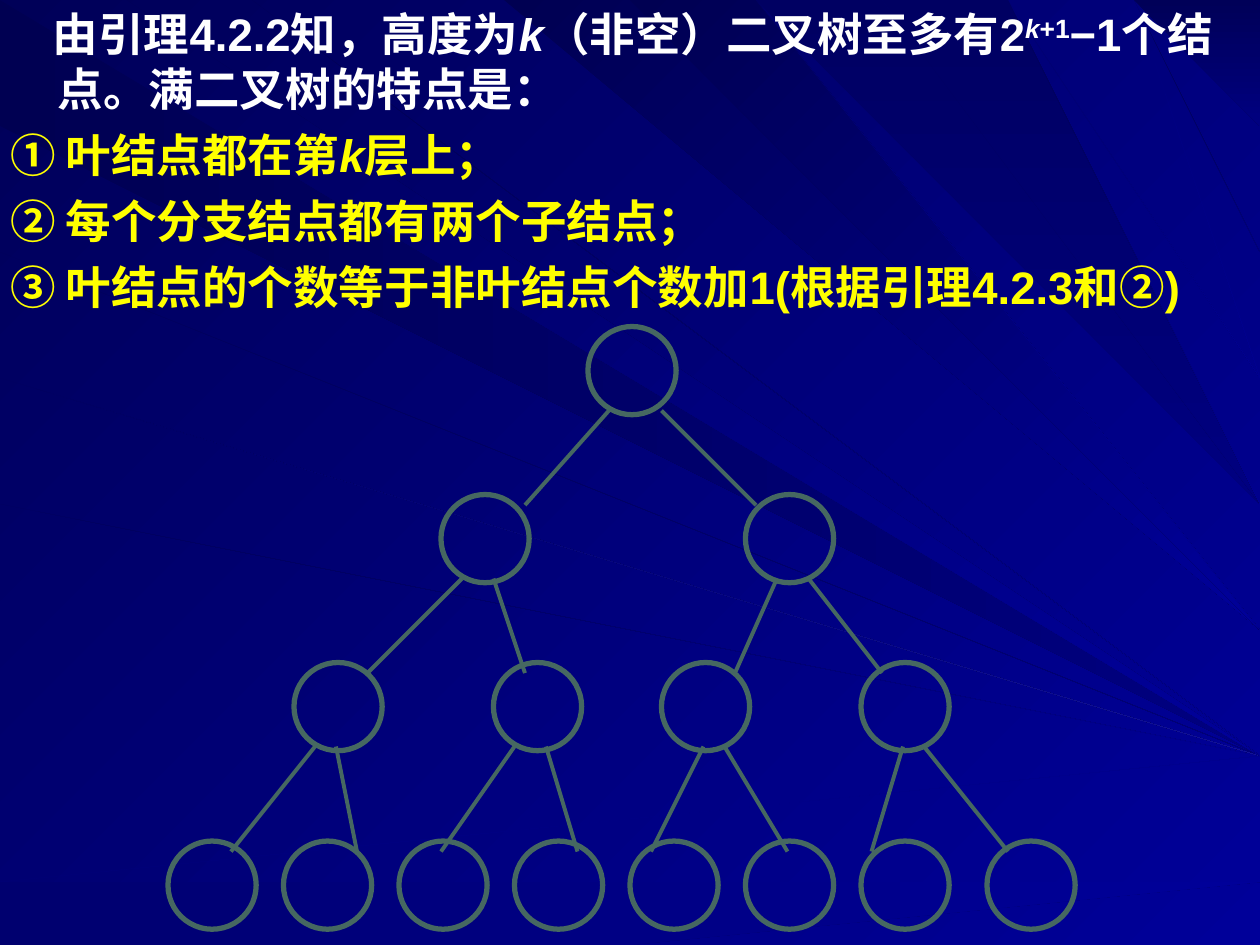
import pptx
import pptx.dml.color
import pptx.enum.shapes
import pptx.enum.text
import pptx.oxml.ns
import pptx.util
from lxml import etree

RGBColor = pptx.dml.color.RGBColor
WHITE = RGBColor.from_string("FFFFFF")
YELLOW = RGBColor.from_string("FFFF00")
MOSS = RGBColor.from_string("466861")
MIDNIGHT = RGBColor.from_string("000052")
DUSK = RGBColor.from_string("000058")
DEEP = RGBColor.from_string("000062")
DIM = RGBColor.from_string("00006F")
NAVY = RGBColor.from_string("000080")
ROYAL = RGBColor.from_string("000099")
GLOW = RGBColor.from_string("1717A2")

# Light beams narrow to a tip on the right edge. Each has its two ends on the
# left or top edge and the height of its tip, in tenths of the slide's width,
# then its first and last colour and the angle of the blend.
LEFT_BEAMS = [
    (0.02, 0.93, 5.7, MIDNIGHT, NAVY, 0),
    (5.96, 6.23, 6.32, DEEP, ROYAL, 0),
    (6.65, 7.04, 6.47, NAVY, ROYAL, 0),
    (7.35, 7.5, 6.62, DIM, ROYAL, 0),
    (2.58, 2.7, 5.89, MIDNIGHT, ROYAL, 45),
    (1.59, 2.28, 5.85, DUSK, NAVY, 0),
    (2.78, 3.42, 6, DEEP, ROYAL, 45),
    (3.74, 4.37, 6.06, DUSK, ROYAL, 45),
    (5.52, 5.6, 6.22, NAVY, ROYAL, 0),
    (2.83, 3.47, 6.04, DIM, GLOW, 0),
]
TOP_BEAMS = [
    (0.26, 1.01, 5.63, DUSK, ROYAL, 45),
    (2.25, 2.47, 5.5, MIDNIGHT, ROYAL, 45),
    (3.98, 4.16, 5.18, DIM, ROYAL, 45),
    (4.26, 4.92, 4.93, MIDNIGHT, ROYAL, 45),
    (5.4, 5.52, 4.63, MIDNIGHT, ROYAL, 45),
    (5.77, 5.88, 4.54, NAVY, ROYAL, 45),
    (6.06, 6.61, 4.46, DEEP, NAVY, 90),
    (6.86, 7.7, 4.1, DEEP, NAVY, 90),
    (7.85, 7.92, 3.57, DUSK, ROYAL, 45),
    (8.15, 8.24, 3.36, DIM, ROYAL, 45),
    (8.65, 8.72, 2.53, NAVY, ROYAL, 45),
    (8.87, 9.3, 2.1, DUSK, NAVY, 90),
    (9.39, 9.64, 1.4, DUSK, NAVY, 90),
]

# Tree levels: grid row and the columns of its nodes
LEVELS = {
    31: [56],
    47: [42, 71],
    63: [28, 47, 63, 82],
    80: [*range(16, 83, 11), 94],
}
# Branches below each level but the last: start and end column
BRANCHES = [
    [(58, 50), (63, 72)],
    [(44, 35), (47, 50), (74, 70), (77, 84)],
    [(30, 22), (32, 34), (49, 42), (52, 55), (67, 62), (69, 75), (86, 83), (88, 96)],
]

# Paragraphs: colour and spans with their style
PLAIN, ITALIC, RAISED, RAISED_ITALIC = "", "i", "r", "ir"
STATEMENTS = [
    (WHITE, [("由引理4.2.2知，高度为", PLAIN), ("k", ITALIC), ("（非空）二叉树至多有2", PLAIN),
             ("k", RAISED_ITALIC), ("+1", RAISED), ("−1个结点。满二叉树的特点是：", PLAIN)]),
    (YELLOW, [("① 叶结点都在第", PLAIN), ("k", ITALIC), ("层上；", PLAIN)]),
    (YELLOW, [("② 每个分支结点都有两个子结点；", PLAIN)]),
    (YELLOW, [("③ 叶结点的个数等于非叶结点个数加1(根据引理4.2.3和②)", PLAIN)]),
]


def set_all(target, values):
    for name, value in values.items():
        setattr(target, name, value)


class TreeSlide:
    """Style and drawing methods on a grid of 120 columns by 90 rows."""
    FONT = {"name": "Arial", "size": pptx.util.Pt(26), "bold": True}
    NODE_SIZE = 8.4
    TOP_SHIFT = 0.1

    def __init__(self, deck):
        self.deck = deck
        self.cell = deck.slide_width / 120
        self.page = deck.slides.add_slide(deck.slide_layouts[1])
        title = self.page.shapes.title
        title.element.getparent().remove(title.element)
        self.blend(self.page.background.fill, DUSK, ROYAL, 45)

    def group(self):
        self.shapes = self.page.shapes.add_group_shape().shapes

    def place(self, column, row):
        return round(column * self.cell), round((row + self.TOP_SHIFT) * self.cell)

    def blend(self, fill, start, end, angle):
        fill.gradient()
        fill.gradient_angle = (360 - angle) % 360
        for stop, colour in zip(fill.gradient_stops, (start, end)):
            stop.color.rgb = colour

    def beam(self, first, second, tip, colours):
        builder = self.shapes.build_freeform(*first, scale=self.deck.slide_width / 10)
        builder.add_line_segments([second, (10, tip)], close=True)
        shape = builder.convert_to_shape()
        shape.shadow.inherit = False
        shape.line.fill.background()
        self.blend(shape.fill, *colours)

    def stroke(self, shape, width):
        shape.line.color.rgb = MOSS
        shape.line.width = pptx.util.Pt(width)

    def node(self, column, row):
        size = round(self.NODE_SIZE * self.cell)
        kind = pptx.enum.shapes.MSO_SHAPE.FLOWCHART_CONNECTOR
        shape = self.shapes.add_shape(kind, *self.place(column, row), size, size)
        shape.shadow.inherit = False
        shape.fill.background()
        self.stroke(shape, 3)

    def branch(self, start, end):
        line = self.shapes.add_connector(
            pptx.enum.shapes.MSO_CONNECTOR.STRAIGHT, *self.place(*start), *self.place(*end))
        self.stroke(line, 2.25)
        etree.SubElement(line.element.spPr, pptx.oxml.ns.qn("a:effectLst"))

    def body(self, statements):
        box = self.page.placeholders[1]
        self.page.shapes.element.append(box.element)  # above the beams
        set_all(box, {"left": 0, "top": 0, "width": self.deck.slide_width,
                      "height": self.deck.slide_height})
        inset = pptx.util.Inches(0.08)
        set_all(box.text_frame, {
            "word_wrap": True, "auto_size": pptx.enum.text.MSO_AUTO_SIZE.NONE,
            "vertical_anchor": pptx.enum.text.MSO_ANCHOR.TOP,
            "margin_left": inset, "margin_right": inset, "margin_top": pptx.util.Inches(0.05)})
        for index, (colour, spans) in enumerate(statements):
            para = box.text_frame.paragraphs[0] if index == 0 else box.text_frame.add_paragraph()
            layout = para._p.get_or_add_pPr()
            layout.set("marL", str(pptx.util.Inches(0.38)))
            layout.set("indent", str(pptx.util.Inches(-0.38 if index else -0.04)))
            etree.SubElement(layout, pptx.oxml.ns.qn("a:buNone"))
            para.space_before = pptx.util.Pt(6.5 if index else 0)
            for text, style in spans:
                span = para.add_run()
                span.text = text
                set_all(span.font, {**self.FONT, "italic": "i" in style})
                span.font.color.rgb = colour
                if "r" in style:
                    span._r.get_or_add_rPr().set("baseline", "30000")


def main():
    deck = pptx.Presentation()
    set_all(deck, {"slide_width": pptx.util.Inches(10), "slide_height": pptx.util.Inches(7.5)})
    slide = TreeSlide(deck)

    # Backdrop
    slide.group()
    for upper, lower, tip, *colours in LEFT_BEAMS:
        slide.beam((0, upper), (0, lower), tip, colours)
    for left, right, tip, *colours in TOP_BEAMS:
        slide.beam((left, 0), (right, 0), tip, colours)

    # Statements
    slide.body(STATEMENTS)

    # Full binary tree
    slide.group()
    for row, columns in LEVELS.items():
        for column in columns:
            slide.node(column, row)
    rows = list(LEVELS)
    for row, next_row, branches in zip(rows, rows[1:], BRANCHES):
        for start, end in branches:
            slide.branch((start, row + 8), (end, next_row + 1))
    deck.save("out.pptx")


if __name__ == "__main__":
    main()
